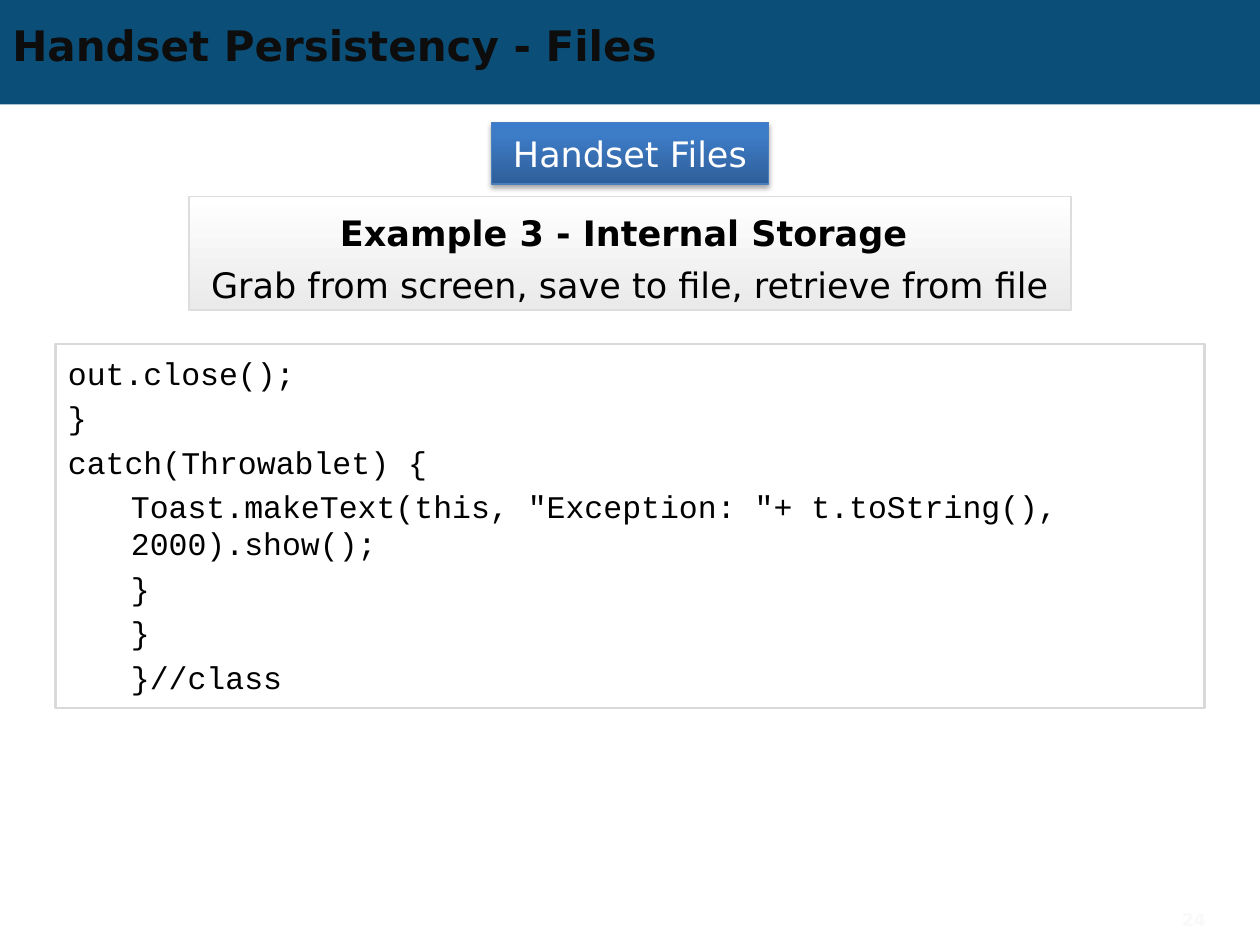
from dataclasses import dataclass
from typing import Optional

import pptx
import pptx.dml.color
import pptx.enum.shapes
import pptx.enum.text
import pptx.oxml
import pptx.oxml.ns
import pptx.util
from pptx.util import Inches, Pt

COLORS = {
    "banner": "0B4E78", "title": "0D0D0D", "white": "FFFFFF", "black": "000000",
    "button_dark": "2F5F99", "button_mid": "3D7CC7", "button_top": "3A7CCB",
    "button_line": "4B7EBC", "panel_end": "EAEAEA", "panel_line": "DDDDDD",
    "code_line": "D9D9D9", "number": "F9F9F9",
}
SANS, MONO = "DejaVu Sans", "Courier New"
LEFT, CENTER, RIGHT = (pptx.enum.text.PP_ALIGN.LEFT, pptx.enum.text.PP_ALIGN.CENTER,
                       pptx.enum.text.PP_ALIGN.RIGHT)
TOP, MIDDLE = pptx.enum.text.MSO_ANCHOR.TOP, pptx.enum.text.MSO_ANCHOR.MIDDLE
A_NS = pptx.oxml.ns.nsdecls("a")


@dataclass
class Box:
    left: float
    top: float
    width: float
    height: float
    stops: tuple = ()  # (percent, color name); a single stop is a solid fill
    angle: int = 90
    line: Optional[str] = None
    line_width: float = 1
    shadow: bool = False


def rgb(name: str) -> pptx.dml.color.RGBColor:
    return pptx.dml.color.RGBColor.from_string(COLORS[name])


def add_gradient(sp, box: Box) -> None:
    stops = "".join(f'<a:gs pos="{pos * 1000}"><a:srgbClr val="{COLORS[name]}"/></a:gs>'
                    for pos, name in box.stops)
    grad = pptx.oxml.parse_xml(
        f'<a:gradFill {A_NS} rotWithShape="1"><a:gsLst>{stops}</a:gsLst>'
        f'<a:lin ang="{box.angle * 60000}" scaled="0"/></a:gradFill>')
    sp._element.spPr.find(pptx.oxml.ns.qn("a:prstGeom")).addnext(grad)


def add_box(s, box: Box):
    sp = s.shapes.add_shape(
        pptx.enum.shapes.MSO_SHAPE.RECTANGLE, Inches(box.left), Inches(box.top),
        Inches(box.width), Inches(box.height))
    sp.shadow.inherit = False
    if len(box.stops) > 1:
        add_gradient(sp, box)
    elif box.stops:
        sp.fill.solid()
        sp.fill.fore_color.rgb = rgb(box.stops[0][1])
    else:
        sp.fill.background()
    if box.line:
        sp.line.color.rgb = rgb(box.line)
        sp.line.width = Pt(box.line_width)
    else:
        sp.line.fill.background()
    if box.shadow:
        effects = sp._element.spPr.find(pptx.oxml.ns.qn("a:effectLst"))
        effects.append(pptx.oxml.parse_xml(
            f'<a:outerShdw {A_NS} blurRad="{Pt(3.1)}" dist="{Pt(1.8)}" dir="5400000" '
            f'rotWithShape="0"><a:srgbClr val="{COLORS["black"]}">'
            '<a:alpha val="35000"/></a:srgbClr></a:outerShdw>'))
    return sp


def add_text_box(s, left: float, top: float, width: float, height: float):
    return s.shapes.add_textbox(Inches(left), Inches(top), Inches(width), Inches(height))


def add_text(sp, text: str, *, size: float, color: str, font: str = SANS,
             bold: bool = False, align=LEFT, anchor=MIDDLE, spacing: Optional[float] = None,
             before: float = 0, indent: float = 0) -> None:
    """Write one paragraph, after any text the shape already holds."""
    tf = sp.text_frame
    tf.word_wrap = True
    tf.vertical_anchor = anchor
    p = tf.add_paragraph() if tf.text else tf.paragraphs[0]
    p.alignment = align
    p.space_before = Pt(before)
    if spacing:
        p.line_spacing = Pt(spacing)
    if indent:
        p.level = 1
        p._p.get_or_add_pPr().set("marL", str(Inches(indent)))
    r = p.add_run()
    r.text = text
    r.font.name, r.font.size, r.font.bold = font, Pt(size), bold
    r.font.color.rgb = rgb(color)


CODE = [  # (line, indent level)
    ("out.close();", 0),
    ("}", 0),
    ("catch(Throwablet) {", 0),
    ('Toast.makeText(this, "Exception: "+ t.toString(), 2000).show();', 1),
    ("}", 1),
    ("}", 1),
    ("}//class", 1),
]


def main() -> None:
    prs = pptx.Presentation()
    prs.slide_width, prs.slide_height = Inches(10), Inches(7.5)
    s = prs.slides.add_slide(prs.slide_layouts[6])

    # Banner and title
    add_box(s, Box(0, 0, 10, 0.83, ((0, "banner"),)))
    add_text(add_text_box(s, 0, 0.14, 9, 0.43), "Handset Persistency - Files",
             size=24, color="title", bold=True)

    # Topic button
    button = add_box(s, Box(
        3.9, 0.97, 2.2, 0.49,
        ((0, "button_dark"), (80, "button_mid"), (100, "button_top")),
        angle=270, line="button_line", line_width=0.75, shadow=True))
    add_text(button, "Handset Files", size=20, color="white", align=CENTER)

    # Example heading
    panel = add_box(s, Box(1.5, 1.56, 7, 0.9, ((0, "white"), (100, "panel_end")),
                           line="panel_line"))
    for text, bold in (("Example 3 - Internal Storage ", True),
                       ("Grab from screen, save to file, retrieve from file", False)):
        add_text(panel, text, size=20, color="black", bold=bold, align=CENTER, spacing=30)

    # Code listing
    listing = add_box(s, Box(0.44, 2.73, 9.12, 2.89, line="code_line", line_width=1.5))
    listing.text_frame.margin_top = Inches(0.08)
    for i, (text, level) in enumerate(CODE):
        add_text(listing, text, size=18, color="black", font=MONO, anchor=TOP,
                 spacing=21.4, before=4 if i else 0, indent=0.5 * level)

    # Slide number
    add_text(add_text_box(s, 8.67, 7.15, 1, 0.3), "24", size=10, color="number",
             bold=True, align=RIGHT)

    prs.save("out.pptx")


if __name__ == "__main__":
    main()
